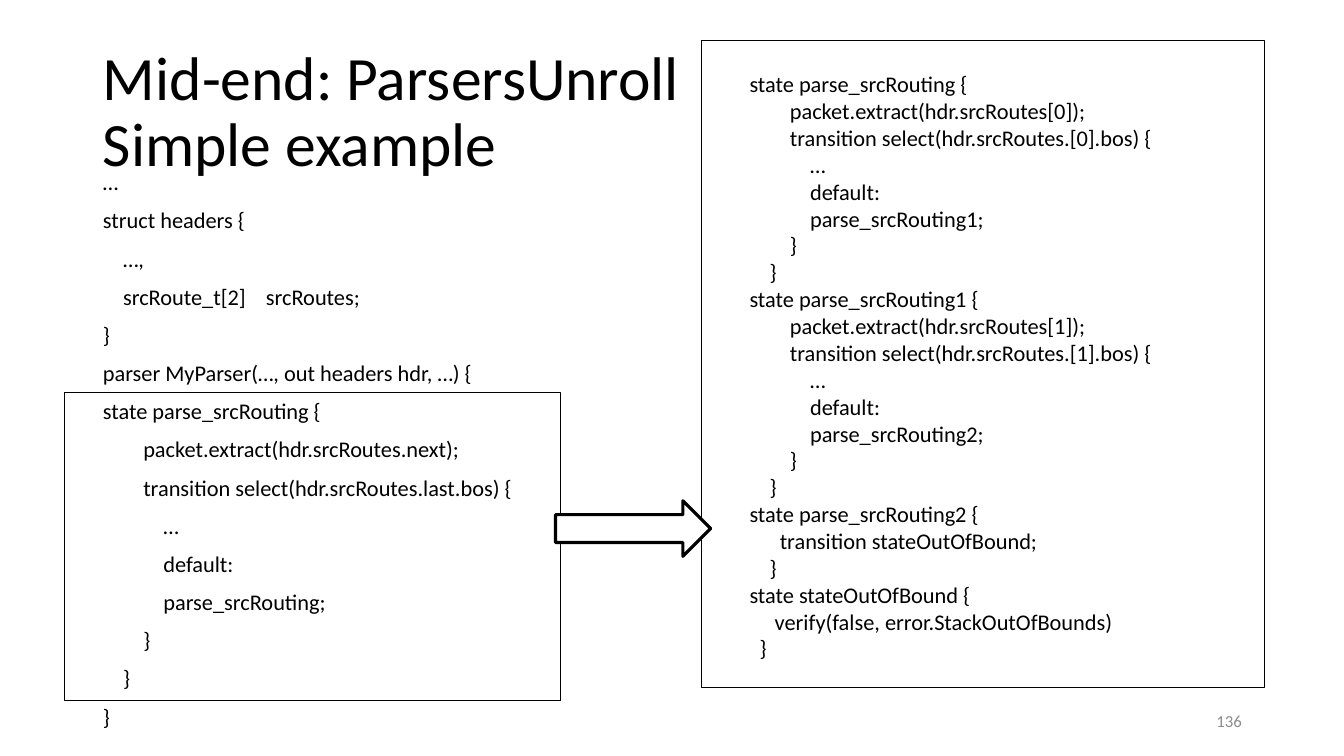
import pptx
import pptx.util
import pptx.dml.color
import pptx.enum.shapes
import pptx.enum.text
from dataclasses import dataclass
from pptx.util import Cm, Pt
from lxml import etree

RGB = pptx.dml.color.RGBColor
SHAPE = pptx.enum.shapes.MSO_SHAPE
ALIGN = pptx.enum.text.PP_ALIGN
ANCHOR = pptx.enum.text.MSO_ANCHOR
FIT = pptx.enum.text.MSO_AUTO_SIZE


@dataclass(frozen=True)
class Theme:
    font: str = "Calibri"
    ink: RGB = RGB(0, 0, 0)
    paper: RGB = RGB(255, 255, 255)
    muted: RGB = RGB(0x8C, 0x8C, 0x8C)
    title: int = 44
    code: int = 16
    number: int = 12


THEME = Theme()

BEFORE_HEAD = """…
struct headers {
    …,
    srcRoute_t[2]    srcRoutes;
}
parser MyParser(…, out headers hdr, …) {"""

STATE = """state parse_srcRouting%s {
        packet.extract(hdr.srcRoutes%s);
        transition select(hdr.srcRoutes.%s.bos) {
            …
            default:
            parse_srcRouting%s;
        }
    }"""

AFTER_TAIL = """state parse_srcRouting2 {
      transition stateOutOfBound;
    }
state stateOutOfBound {
     verify(false, error.StackOutOfBounds)
  }"""

BEFORE = "\n".join([BEFORE_HEAD, STATE % ("", ".next", "last", ""), "}"])
AFTER = "\n".join([STATE % ("", "[0]", "[0]", "1"),
                   STATE % ("1", "[1]", "[1]", "2"), AFTER_TAIL])


def place(sp, box):
    sp.left, sp.top, sp.width, sp.height = (Cm(v) for v in box)


def add_run(p, text, size, color=THEME.ink):
    r = p.add_run()
    r.text = text
    r.font.name = THEME.font
    r.font.size = Pt(size)
    r.font.color.rgb = color


def write_code(tf, code, spacing=1.0, before=0):
    for i, line in enumerate(code.split("\n")):
        p = tf.paragraphs[0] if i == 0 else tf.add_paragraph()
        pPr = p._p.get_or_add_pPr()
        pPr.set("marL", "0")
        pPr.set("indent", "0")
        etree.SubElement(pPr, pptx.oxml.ns.qn("a:buNone"))
        p.alignment = ALIGN.LEFT
        p.line_spacing = spacing
        p.space_before = Pt(before if i else 0)
        add_run(p, line, THEME.code)


def add_outline(s, kind, box, width, fill=None):
    sp = s.shapes.add_shape(kind, *(Cm(v) for v in box))
    sp.shadow.inherit = False
    if fill is None:
        sp.fill.background()
    else:
        sp.fill.solid()
        sp.fill.fore_color.rgb = fill
    sp.line.color.rgb = THEME.ink
    sp.line.width = Pt(width)


def add_title(s, box, lines):
    sp = s.shapes.title
    place(sp, box)
    tf = sp.text_frame
    tf.auto_size = FIT.NONE
    tf.vertical_anchor = ANCHOR.MIDDLE
    p = tf.paragraphs[0]
    p.alignment = ALIGN.LEFT
    p.line_spacing = 0.9
    for i, line in enumerate(lines):
        if i:
            p.add_line_break()
        add_run(p, line, THEME.title)


def add_before(s, box):
    x, y, w, h = box
    sp = s.placeholders[1]
    place(sp, box)
    sp.text_frame.auto_size = FIT.NONE
    write_code(sp.text_frame, BEFORE, 0.9, 10)
    # Frame around the state that gets unrolled
    add_outline(s, SHAPE.RECTANGLE, (x - 0.71, y + 5.69, w + 0.61, 7.77), 0.75)


def add_after(s, box):
    x, y, w, h = box
    add_outline(s, SHAPE.RECTANGLE, box, 0.75)
    sp = s.shapes.add_textbox(Cm(x + 0.96), Cm(y + 0.63), Cm(10.8), Cm(16.08))
    sp.text_frame.word_wrap = False
    write_code(sp.text_frame, AFTER)


def add_number(s, box, number):
    sp = s.shapes.add_textbox(*(Cm(v) for v in box))
    tf = sp.text_frame
    tf.word_wrap = True
    tf.vertical_anchor = ANCHOR.MIDDLE
    p = tf.paragraphs[0]
    p.alignment = ALIGN.RIGHT
    add_run(p, number, THEME.number, THEME.muted)


def main():
    prs = pptx.Presentation()
    prs.slide_width, prs.slide_height = Cm(33.87), Cm(19.05)
    s = prs.slides.add_slide(prs.slide_layouts[1])
    add_title(s, (2.34, 1.02, 29.21, 3.68),
              ["Mid-end: ParsersUnroll", "Simple example"])
    add_number(s, (23.93, 17.65, 7.62, 1.02), "136")
    # Code before and after unrolling, joined by a block arrow
    add_before(s, (2.34, 4.19, 11.89, 11.38))
    add_after(s, (17.68, 1.02, 14.2, 16.31))
    add_outline(s, SHAPE.RIGHT_ARROW, (14, 12.62, 3.91, 1.4), 2.25, THEME.paper)
    prs.save("out.pptx")


if __name__ == "__main__":
    main()
